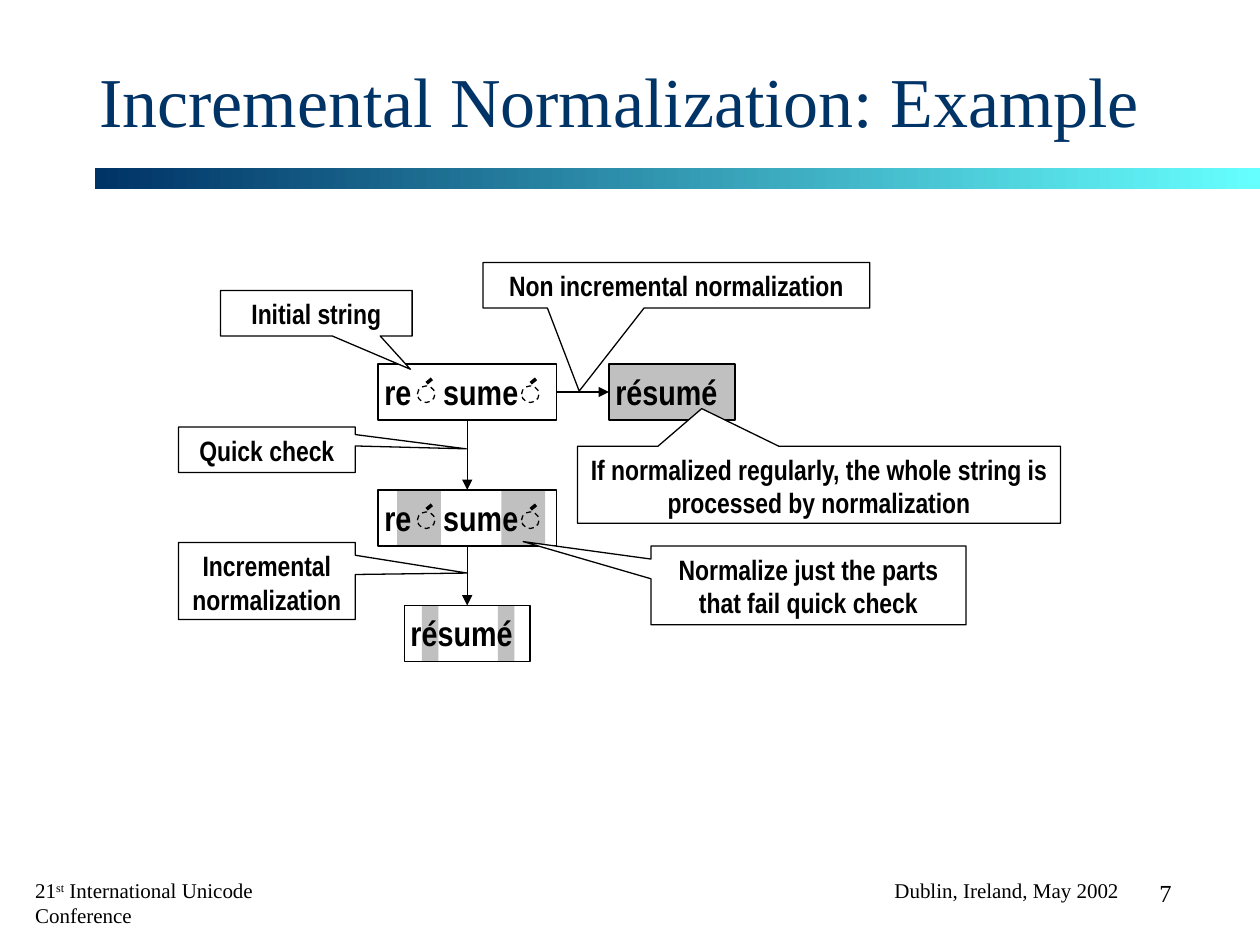
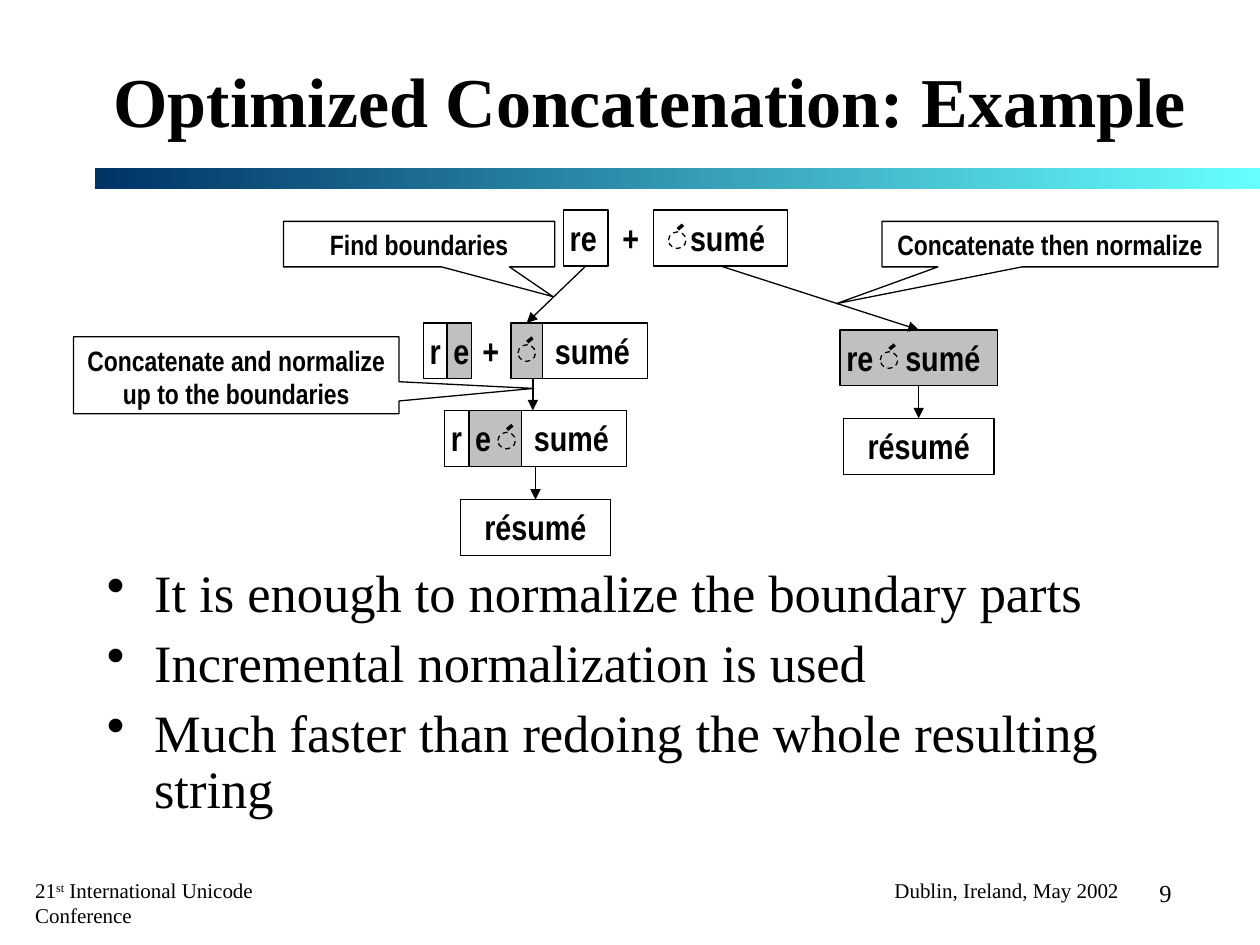
from dataclasses import dataclass

from lxml.etree import SubElement
from pptx import Presentation
from pptx.dml.color import RGBColor
from pptx.enum.dml import MSO_LINE
from pptx.enum.shapes import MSO_CONNECTOR, MSO_SHAPE
from pptx.enum.text import MSO_ANCHOR, PP_ALIGN
from pptx.oxml.ns import qn
from pptx.util import Pt

# Shared style
BLACK = RGBColor(0x00, 0x00, 0x00)
WHITE = RGBColor(0xFF, 0xFF, 0xFF)
NAVY = RGBColor(0x00, 0x33, 0x66)
CYAN = RGBColor(0x66, 0xFF, 0xFF)
GREY = RGBColor(0xC0, 0xC0, 0xC0)
SERIF, NARROW = "Times New Roman", "Arial Narrow"
BOX_HEIGHT = 32
TAB_AFTER_RE = 33.7
TOP, LEFT, BOTTOM, RIGHT = range(4)


@dataclass
class Box:
    """A string box; accents and highlights are offsets from its left side."""
    text: str
    left: float
    top: float
    width: float
    fill: RGBColor = None
    inset: float = 3.6
    centered: bool = False
    outlined: bool = True
    accents: tuple = ()
    highlights: tuple = ()  # (offset, width)


# Content: callouts are (text, left, top, width, height, tip);
# arrow ends are (box name, side) or a free (x, y) point
INCREMENTAL = {
    "title": "Incremental Normalization: Example",
    "title_width": 612, "title_color": NAVY, "title_bold": False,
    "number": "7",
    "boxes": {
        "initial": Box("re\tsume", 216, 208, 102, accents=(22.5, 82)),
        "whole": Box("résumé", 348, 208, 72, GREY),
        "checked": Box("re\tsume", 216, 280, 102, accents=(22.5, 82),
                       highlights=((11, 25), (70.5, 25))),
        "result": Box("résumé", 231, 346, 72, highlights=((10, 9.5), (53.5, 9.5))),
    },
    "arrows": [
        (("initial", RIGHT), ("whole", LEFT)),
        (("initial", BOTTOM), ("checked", TOP)),
        (("checked", BOTTOM), ("result", TOP)),
    ],
    "callouts": [
        ("Initial string", 126, 166, 109.5, 26, (234.5, 211)),
        ("Normalize just the parts that fail quick check", 372, 312, 180, 45, (299, 309.5)),
        ("Non incremental normalization", 276, 150, 221, 26, (331, 223.5)),
        ("Quick check", 102, 244, 101, 26, (266.5, 256.5)),
        ("Incremental normalization", 102, 310, 101, 44, (267, 327.5)),
        ("If normalized regularly, the whole string is processed by normalization",
         330, 255, 276, 44, (401, 233.5)),
    ],
    "bullets": [],
}

CONCATENATION = {
    "title": "Optimized Concatenation: Example",
    "title_width": 646.5, "title_color": BLACK, "title_bold": True,
    "number": "9",
    "boxes": {
        "first": Box("re", 322, 120, 25.5),
        "second": Box("sumé", 373.5, 120, 76.5, inset=20.8, accents=(8.5,)),
        "plus": Box("+", 348, 120, 25, centered=True, outlined=False),
        "joined": Box("re\tsumé", 480, 188.5, 90, GREY, accents=(23,)),
        "normalized": Box("résumé", 482, 239, 86, centered=True),
        "split r": Box("r", 242, 184.5, 13.5),
        "split sumé": Box("sumé", 310, 184.5, 60, inset=7.2),
        "split plus": Box("+", 268, 184.5, 25, centered=True, outlined=False),
        "split e": Box("e", 255.5, 184.5, 14, GREY),
        "split accent": Box("", 292, 184.5, 18, GREY, accents=(4,)),
        "merged r": Box("r", 254, 234.5, 14),
        "merged sumé": Box("sumé", 298, 234.5, 60, inset=7.2),
        "merged e": Box("e", 268, 234.5, 30, GREY, accents=(16.5,)),
        "result": Box("résumé", 263, 285.5, 86, centered=True),
    },
    "arrows": [
        (("first", BOTTOM), ("split accent", TOP)),
        (("second", BOTTOM), ("joined", TOP)),
        (("joined", BOTTOM), ("normalized", TOP)),
        ((304.5, 216), (304.5, 234.5)),
        ((306, 266.5), ("result", TOP)),
    ],
    "callouts": [
        ("Find boundaries", 162, 126.5, 155, 26, (316, 169.5)),
        ("Concatenate then normalize", 504, 126.5, 192, 26, (478, 173.5)),
        ("Concatenate and normalize up to the boundaries",
         42, 192.5, 186, 44, (305, 222)),
    ],
    "bullets": [
        "It is enough to normalize the boundary parts",
        "Incremental normalization is used",
        "Much faster than redoing the whole resulting string",
    ],
}


def points(*lengths):
    return [Pt(length) for length in lengths]


def style(paragraph, font_name, size, color=BLACK, bold=False):
    for run in paragraph.runs:
        run.font.name, run.font.size, run.font.bold = font_name, Pt(size), bold
        run.font.color.rgb = color


def add_text(slide, text, frame, size, align=PP_ALIGN.LEFT, wrap=True, **look):
    text_frame = slide.shapes.add_textbox(*points(*frame)).text_frame
    text_frame.word_wrap = wrap
    text_frame.text = text
    paragraph = text_frame.paragraphs[0]
    paragraph.alignment = align
    style(paragraph, SERIF, size, **look)
    return text_frame


def add_preset(slide, preset, frame, fill=None, outlined=True):
    shape = slide.shapes.add_shape(preset, *points(*frame))
    shape.shadow.inherit = False
    if fill is None:
        shape.fill.background()
    else:
        shape.fill.solid()
        shape.fill.fore_color.rgb = fill
    if outlined:
        shape.line.color.rgb, shape.line.width = BLACK, Pt(0.75)
    else:
        shape.line.fill.background()
    return shape


def label(shape, text, size, align, inset_left, inset_right):
    text_frame = shape.text_frame
    text_frame.word_wrap = True
    text_frame.vertical_anchor = MSO_ANCHOR.TOP
    text_frame.margin_left, text_frame.margin_right = points(inset_left, inset_right)
    text_frame.text = text
    paragraph = text_frame.paragraphs[0]
    paragraph.alignment = align
    if "\t" in text:
        tabs = SubElement(paragraph._p.get_or_add_pPr(), qn("a:tabLst"))
        SubElement(tabs, qn("a:tab"), pos=str(Pt(TAB_AFTER_RE)), algn="l")
    style(paragraph, NARROW, size, bold=True)


def add_line(slide, start, end, width):
    line = slide.shapes.add_connector(MSO_CONNECTOR.STRAIGHT, *points(*start, *end))
    line.line.color.rgb, line.line.width = BLACK, Pt(width)
    SubElement(line._element.spPr, qn("a:effectLst"))
    return line


def add_box(slide, box):
    for offset, width in box.highlights:
        add_preset(slide, MSO_SHAPE.RECTANGLE,
                   (box.left + offset, box.top, width, BOX_HEIGHT), GREY, False)
    shape = add_preset(slide, MSO_SHAPE.RECTANGLE,
                       (box.left, box.top, box.width, BOX_HEIGHT), box.fill, box.outlined)
    if box.text:
        align = PP_ALIGN.CENTER if box.centered else PP_ALIGN.LEFT
        label(shape, box.text, 20, align, box.inset, 3.6)
    # Combining accent: dashed circle with a short slanted stroke
    for offset in box.accents:
        left, top = box.left + offset, box.top + 12.5
        circle = add_preset(slide, MSO_SHAPE.OVAL, (left, top, 10, 9.5))
        circle.line.dash_style = MSO_LINE.DASH
        add_line(slide, (left + 5.3, top - 1.5), (left + 8.3, top - 4), 2)
    return shape


def add_arrow(slide, start, end, shapes):
    arrow = add_line(slide, (0, 0), (0, 0), 0.75)
    if start[0] in shapes:
        arrow.begin_connect(shapes[start[0]], start[1])
    else:
        arrow.begin_x, arrow.begin_y = points(*start)
    if end[0] in shapes:
        arrow.end_connect(shapes[end[0]], end[1])
    else:
        arrow.end_x, arrow.end_y = points(*end)
    SubElement(arrow.line._get_or_add_ln(), qn("a:tailEnd"), type="triangle")


def add_callout(slide, text, left, top, width, height, tip):
    shape = add_preset(slide, MSO_SHAPE.RECTANGULAR_CALLOUT,
                       (left, top, width, height), WHITE)
    shape.adjustments[0] = (tip[0] - left) / width - 0.5
    shape.adjustments[1] = (tip[1] - top) / height - 0.5
    label(shape, text, 16, PP_ALIGN.CENTER, 7.2, 7.2)


def add_bullets(slide, bullets):
    text_frame = slide.shapes.add_textbox(*points(54, 320.5, 612, 154)).text_frame
    text_frame.word_wrap = True
    text_frame.text = "\n".join(bullets)
    for index, paragraph in enumerate(text_frame.paragraphs):
        properties = paragraph._p.get_or_add_pPr()
        properties.set("marL", str(Pt(27)))
        properties.set("indent", str(Pt(-27)))
        paragraph.line_spacing = 0.9
        if index:
            paragraph.space_before = Pt(7.5)
        SubElement(properties, qn("a:buChar"), char="•")
        style(paragraph, SERIF, 30)


def add_frame(slide, content):
    # Gradient band
    band = add_preset(slide, MSO_SHAPE.RECTANGLE, (54, 96, 666, 12), outlined=False)
    band.fill.gradient()
    band.fill.gradient_angle = 0
    for stop, color in zip(band.fill.gradient_stops, (NAVY, CYAN)):
        stop.color.rgb = color
    # Footers
    footer = add_text(slide, "21", (13, 498, 197, 22), 12, wrap=False)
    paragraph = footer.paragraphs[0]
    for text in ("st", " International Unicode Conference"):
        paragraph.add_run().text = text
    style(paragraph, SERIF, 12)
    paragraph.runs[1].font._element.set("baseline", "30000")
    add_text(slide, "Dublin, Ireland, May 2002", (504, 498, 143, 22), 12, wrap=False)
    add_text(slide, content["number"], (630, 498, 72, 30), 14, PP_ALIGN.CENTER)
    # Title
    title = add_text(slide, content["title"], (48, 24, content["title_width"], 66), 40,
                     PP_ALIGN.CENTER, color=content["title_color"],
                     bold=content["title_bold"])
    title.vertical_anchor = MSO_ANCHOR.MIDDLE


def main():
    presentation = Presentation()
    presentation.slide_width, presentation.slide_height = points(720, 540)
    for content in (INCREMENTAL, CONCATENATION):
        slide = presentation.slides.add_slide(presentation.slide_layouts[6])
        add_frame(slide, content)
        shapes = {name: add_box(slide, box) for name, box in content["boxes"].items()}
        for start, end in content["arrows"]:
            add_arrow(slide, start, end, shapes)
        for callout in content["callouts"]:
            add_callout(slide, *callout)
        if content["bullets"]:
            add_bullets(slide, content["bullets"])
    presentation.save("out.pptx")


if __name__ == "__main__":
    main()
